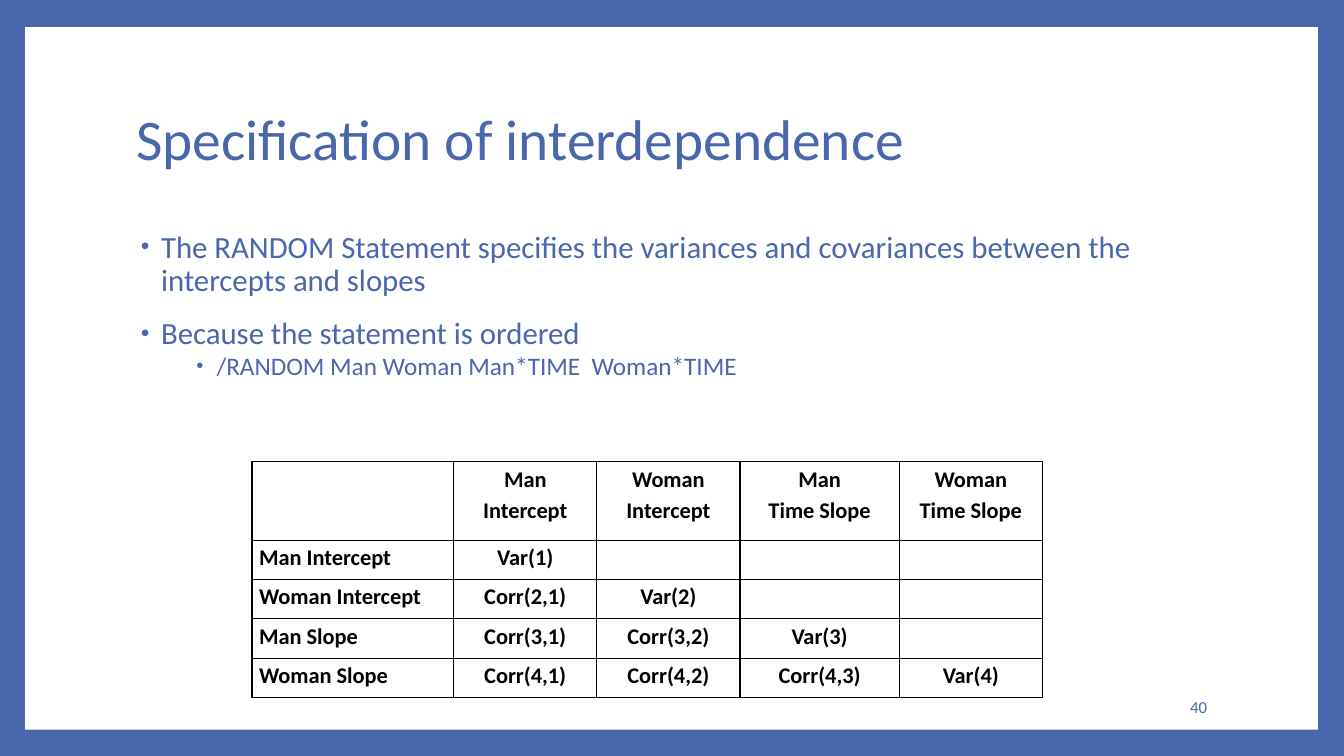
from lxml import etree
from pptx import Presentation
from pptx.dml.color import RGBColor
from pptx.enum.shapes import MSO_SHAPE
from pptx.enum.text import MSO_ANCHOR, MSO_AUTO_SIZE, PP_ALIGN
from pptx.oxml.ns import qn
from pptx.util import Inches, Pt

BLUE, WHITE, BLACK = "4A66AC", "FFFFFF", "000000"
BULLETS = [
    ("The RANDOM Statement specifies the variances and covariances between the intercepts and slopes", 0),
    ("Because the statement is ordered", 0),
    ("/RANDOM Man Woman Man*TIME  Woman*TIME", 1),
]
BULLET_LEVELS = [
    {"size": 22, "margin": 0.25, "before": 14, "after": 0},
    {"size": 18, "margin": 0.8, "before": 2, "after": 4},
]
COLUMN_HEADS = ["", "Man\nIntercept", "Woman\nIntercept", "Man\nTime Slope", "Woman\nTime Slope"]
ROW_HEADS = ["Man Intercept", "Woman Intercept", "Man Slope", "Woman Slope"]
COLUMN_WIDTHS = [2, 1.42, 1.42, 1.58, 1.42]
ROW_HEIGHTS = [0.78] + [0.39] * len(ROW_HEADS)


def rgb(color):
    """Turn a hex string into a colour."""
    return RGBColor.from_string(color)


def fill_solid(target, color):
    """Fill a shape, cell or background with one colour."""
    target.fill.solid()
    target.fill.fore_color.rgb = rgb(color)


def set_all(target, values):
    """Set several attributes on one object."""
    for name, value in values.items():
        setattr(target, name, value)


def add_span(para, text, size, color, bold=False):
    """Add formatted text to a paragraph."""
    span = para.add_run()
    span.text = text
    set_all(span.font, {"name": "Calibri", "size": Pt(size), "bold": bold})
    span.font.color.rgb = rgb(color)


def place(shape, left, top, width, height):
    """Move and size a shape, in inches."""
    values = {"left": left, "top": top, "width": width, "height": height}
    set_all(shape, {name: Inches(value) for name, value in values.items()})


def add_box(page, left, top, width, height, anchor):
    """Add a wrapping text box and return its frame."""
    box = page.shapes.add_textbox(*map(Inches, (left, top, width, height)))
    set_all(box.text_frame, {"word_wrap": True, "vertical_anchor": anchor})
    return box.text_frame


def add_panel(page):
    """Add the white panel inside the blue border."""
    panel = page.shapes.add_shape(MSO_SHAPE.RECTANGLE, *map(Inches, (0.25, 0.27, 12.82, 6.97)))
    panel.shadow.inherit = False
    panel.line.fill.background()
    fill_solid(panel, WHITE)


def format_title(page, text):
    """Place and write the title."""
    title = page.shapes.title
    place(title, 1.25, 0.67, 10.8, 1.48)
    frame = title.text_frame
    set_all(frame, {"vertical_anchor": MSO_ANCHOR.MIDDLE, "auto_size": MSO_AUTO_SIZE.NONE})
    para = frame.paragraphs[0]
    set_all(para, {"alignment": PP_ALIGN.LEFT, "line_spacing": 0.9})
    add_span(para, text, 41, BLUE)


def add_bullet(para, margin):
    """Give a paragraph a hanging bullet."""
    properties = para._p.get_or_add_pPr()
    properties.set("marL", str(Inches(margin)))
    properties.set("indent", str(Inches(-0.2)))
    color = etree.SubElement(properties, qn("a:buClr"))
    etree.SubElement(color, qn("a:srgbClr"), val=BLUE)
    etree.SubElement(properties, qn("a:buSzPct"), val="80000")
    etree.SubElement(properties, qn("a:buFont"), typeface="Arial")
    etree.SubElement(properties, qn("a:buChar"), char="•")


def add_bullets(page):
    """Add the bulleted text."""
    frame = add_box(page, 1.25, 2.25, 10.8, 2.2, MSO_ANCHOR.TOP)
    for index, (text, level) in enumerate(BULLETS):
        para = frame.add_paragraph() if index else frame.paragraphs[0]
        style = BULLET_LEVELS[level]
        set_all(para, {
            "level": level,
            "line_spacing": 0.9,
            "space_before": Pt(style["before"]),
            "space_after": Pt(style["after"]),
        })
        add_bullet(para, style["margin"])
        add_span(para, text, style["size"], BLUE)


def add_borders(cell):
    """Draw thin black lines round a cell."""
    properties = cell._tc.get_or_add_tcPr()
    for index, side in enumerate(("a:lnL", "a:lnR", "a:lnT", "a:lnB")):
        line = etree.Element(qn(side), w=str(Pt(1)))
        fill = etree.SubElement(line, qn("a:solidFill"))
        etree.SubElement(fill, qn("a:srgbClr"), val=BLACK)
        properties.insert(index, line)


def write_cell(cell, text, alignment):
    """Format one cell and write its lines."""
    set_all(cell, {
        "margin_left": Inches(0.07),
        "margin_right": Inches(0.07),
        "margin_top": 0,
        "margin_bottom": 0,
    })
    fill_solid(cell, WHITE)
    add_borders(cell)
    for index, line in enumerate(text.split("\n") if text else []):
        frame = cell.text_frame
        para = frame.add_paragraph() if index else frame.paragraphs[0]
        set_all(para, {"alignment": alignment, "line_spacing": 1.15})
        add_span(para, line, 16, BLACK, bold=True)


def matrix_text(row, column):
    """Return the lower-triangle entry of the covariance matrix."""
    if row == column:
        return f"Var({row})"
    return f"Corr({row},{column})" if row > column else ""


def add_matrix(page):
    """Add the table of variances and correlations."""
    size = len(COLUMN_HEADS)
    rows = [COLUMN_HEADS] + [
        [head] + [matrix_text(row, column) for column in range(1, size)]
        for row, head in enumerate(ROW_HEADS, 1)
    ]
    table = page.shapes.add_table(size, size, *map(Inches, (2.5, 4.58, 7.84, 2.34))).table
    for column, width in zip(table.columns, COLUMN_WIDTHS):
        column.width = Inches(width)
    for row, height in zip(table.rows, ROW_HEIGHTS):
        row.height = Inches(height)
    for row, texts in enumerate(rows):
        for column, text in enumerate(texts):
            alignment = PP_ALIGN.CENTER if column else PP_ALIGN.LEFT
            write_cell(table.cell(row, column), text, alignment)


def add_page_number(page, number):
    """Add the page number at the lower right."""
    para = add_box(page, 10.2, 6.81, 1.87, 0.4, MSO_ANCHOR.MIDDLE).paragraphs[0]
    para.alignment = PP_ALIGN.RIGHT
    add_span(para, number, 12, BLUE)


def main():
    """Build and save the slide."""
    deck = Presentation()
    set_all(deck, {"slide_width": Inches(13.33), "slide_height": Inches(7.5)})
    page = deck.slides.add_slide(deck.slide_layouts[5])
    fill_solid(page.background, BLUE)
    add_panel(page)
    title = page.shapes.title._element
    title.getparent().append(title)
    format_title(page, "Specification of interdependence")
    add_bullets(page)
    add_matrix(page)
    add_page_number(page, "40")
    deck.save("out.pptx")


if __name__ == "__main__":
    main()
